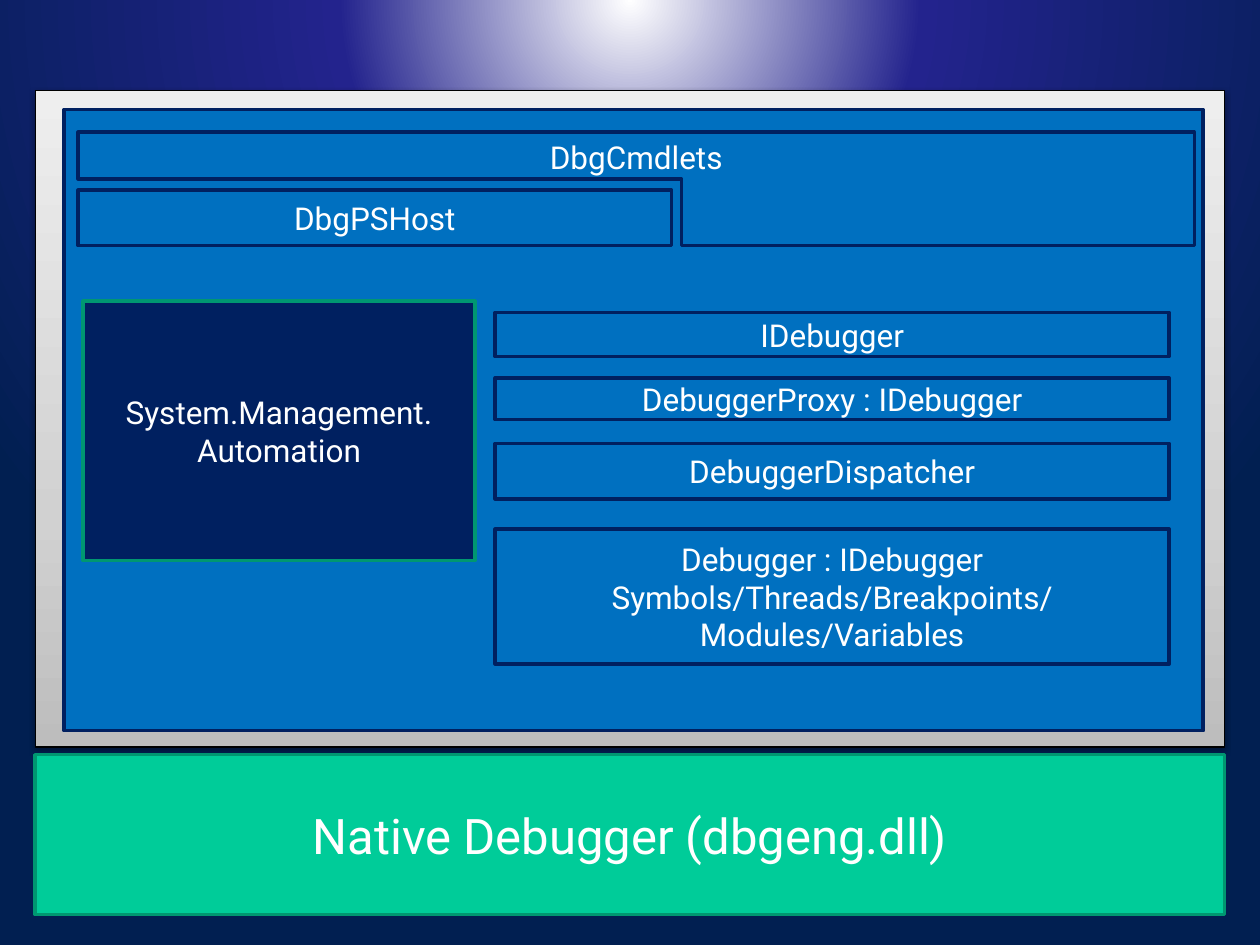
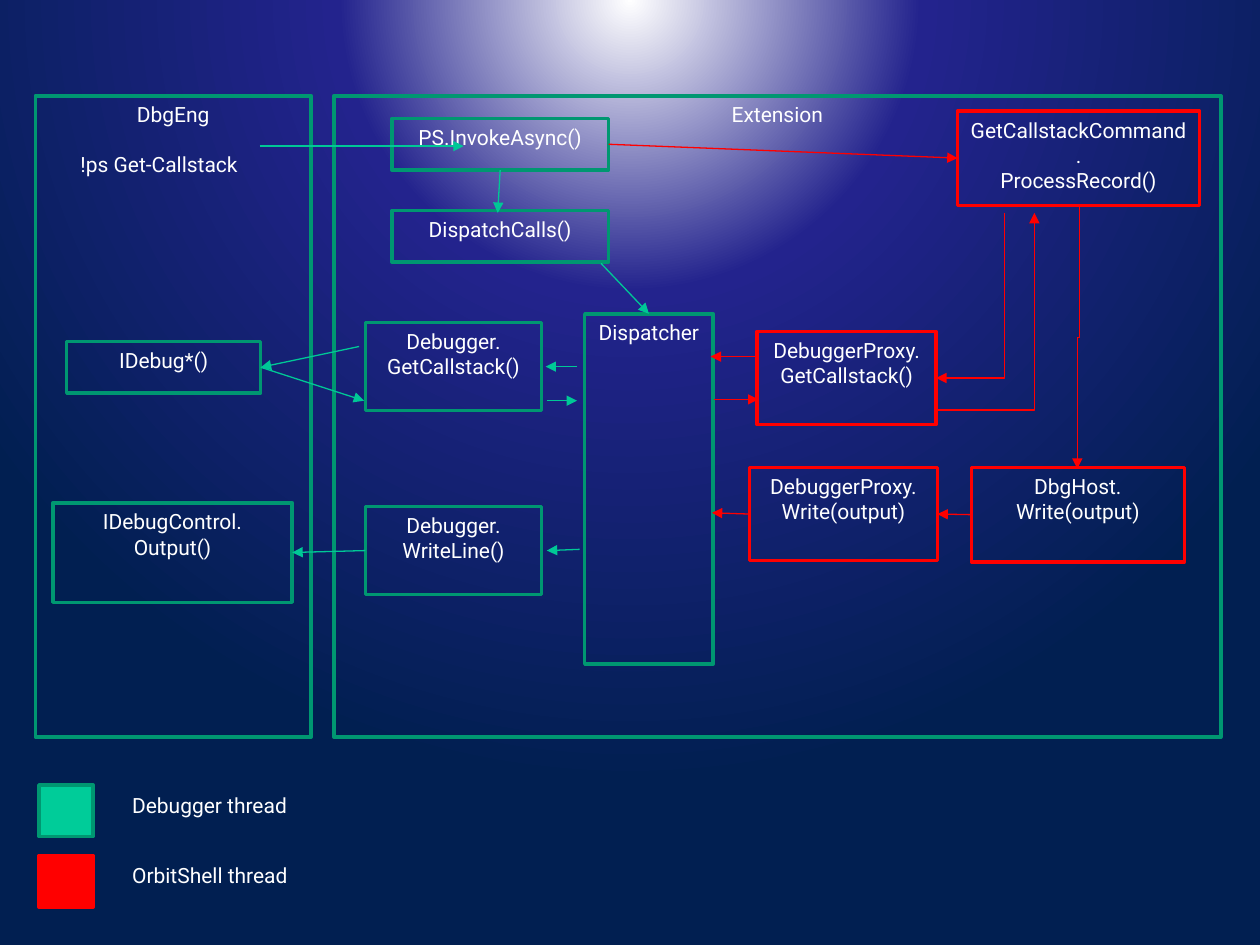
from dataclasses import dataclass
from typing import Any

from pptx import Presentation
from pptx.dml.color import RGBColor
from pptx.enum.shapes import MSO_CONNECTOR as Wire, MSO_SHAPE as Form
from pptx.enum.text import MSO_ANCHOR as Anchor, PP_ALIGN as Align
from pptx.oxml import parse_xml
from pptx.oxml.ns import nsdecls, qn
from pptx.util import Pt

PX = 9144
FONT = "Roboto"
WHITE, BLACK, RED = "FFFFFF", "000000", "FF0000"
BLUE, NAVY = "0070C0", "002060"
MINT, EDGE, ARROW = "00CC99", "009771", "00C896"
TOP, LEFT, BASE, RIGHT = range(4)


def tint(code):
    """Turn a hex string into a colour."""
    return RGBColor.from_string(code)


def node(tag, body="", **attrs):
    """Build one drawing element from its tag, content and attributes."""
    pairs = " ".join(f'{key}="{val}"' for key, val in attrs.items())
    return parse_xml(f'<a:{tag} {nsdecls("a")} {pairs}>{body}</a:{tag}>')


def blend(root, stops, shade):
    """Replace the first gradient below root by the given stops."""
    marks = "".join(f'<a:gs pos="{pos}000"><a:srgbClr val="{code}"/></a:gs>'
                    for pos, code in stops)
    old = root.find(".//" + qn("a:gradFill"))
    old.getparent().replace(old, node("gradFill", f"<a:gsLst>{marks}</a:gsLst>{shade}"))


def write(shape, text, size, align=Align.CENTER, anchor=Anchor.TOP, wrap=True):
    """Set the text of a shape and format its runs."""
    frame = shape.text_frame
    frame.text = text
    frame.word_wrap = wrap
    frame.vertical_anchor = anchor
    for para in frame.paragraphs:
        para.alignment = align
        for run in para.runs:
            run.font.name, run.font.size = FONT, Pt(size)
            run.font.color.rgb = tint(WHITE)


def paint(shape, fill, edge, width=2):
    """Give a shape its fill and outline, and no shadow."""
    shape.shadow.inherit = False
    if fill:
        shape.fill.solid()
        shape.fill.fore_color.rgb = tint(fill)
    else:
        shape.fill.background()
    shape.line.color.rgb = tint(edge)
    shape.line.width = Pt(width)
    return shape


def point(line, hue):
    """Style a connector as a thin arrow."""
    line.line.color.rgb = tint(hue)
    line.line.width = Pt(0.75)
    props = line._element.spPr
    props.find(qn("a:ln")).append(node("tailEnd", type="triangle"))
    props.append(node("effectLst"))


@dataclass
class Area:
    """A box on a slide in which parts are placed in px."""
    slide: Any
    x: int
    y: int
    w: int
    h: int

    def spot(self, x, y):
        """Turn a point of the box into EMU on the slide."""
        return (self.x + x) * PX, (self.y + y) * PX

    def rect(self, x, y, w, h, edge=EDGE, fill=None, width=2):
        """Add a rectangle."""
        form = self.slide.shapes.add_shape(
            Form.RECTANGLE, *self.spot(x, y), w * PX, h * PX)
        return paint(form, fill, edge, width)

    def call(self, text, x, y, w, h, edge=EDGE):
        """Add an open rectangle that names a call."""
        form = self.rect(x, y, w, h, edge)
        write(form, text, 12)
        return form

    def note(self, text, x, y, w, h, wrap):
        """Add a line of plain text."""
        form = self.slide.shapes.add_textbox(*self.spot(x, y), w * PX, h * PX)
        write(form, text, 12, Align.LEFT, wrap=wrap)

    def link(self, start, stop, hue):
        """Add an arrow between points or (shape, side) pairs."""
        line = self.slide.shapes.add_connector(Wire.STRAIGHT, 0, 0, 0, 0)
        if isinstance(start[0], int):
            line.begin_x, line.begin_y = self.spot(*start)
        else:
            line.begin_connect(*start)
        if isinstance(stop[0], int):
            line.end_x, line.end_y = self.spot(*stop)
        else:
            line.end_connect(*stop)
        point(line, hue)

    def bend(self, start, stop, hue, kind="bentConnector3", turn=None):
        """Add an elbow arrow that sets off up or down."""
        (ax, ay), (bx, by) = self.spot(*start), self.spot(*stop)
        long, wide = abs(by - ay), abs(bx - ax)
        left, top = (ax + bx - long) // 2, (ay + by - wide) // 2
        line = self.slide.shapes.add_connector(
            Wire.ELBOW, left, top, left + long, top + wide)
        props = line._element.spPr
        frame = props.find(qn("a:xfrm"))
        frame.set("rot", "5400000")
        if by < ay:
            frame.set("flipH", "1")
            frame.set("flipV", "1")
        shape = props.find(qn("a:prstGeom"))
        shape.set("prst", kind)
        if turn:
            shape.find(qn("a:avLst")).append(
                node("gd", name="adj1", fmla=f"val {turn}"))
        point(line, hue)


def frame(area):
    """Draw the grey frame with its soft shadow."""
    form = area.rect(0, 0, area.w, area.h, BLACK, WHITE, 0.75)
    form.fill.gradient()
    props = form._element.spPr
    blend(props, [(0, "BDBDBD"), (35, "D1D1D1"), (100, "EEEEEE")],
          '<a:lin ang="16200000" scaled="0"/>')
    props.find(qn("a:effectLst")).append(node(
        "outerShdw", f'<a:srgbClr val="{BLACK}"><a:alpha val="38000"/></a:srgbClr>',
        blurRad=Pt(3.1), dist=Pt(1.6), dir=5400000, rotWithShape=0))


def native(area):
    """Draw the native debugger band."""
    form = area.rect(0, 0, area.w, area.h, EDGE, MINT)
    write(form, "Native Debugger (dbgeng.dll)", 28, anchor=Anchor.MIDDLE)


def panel(area):
    """Draw the managed layers."""
    area.rect(0, 0, area.w, area.h, NAVY, BLUE)
    col, wide = 342, 535
    for text, box, edge, fill in [
        ("DbgPSHost", (11, 64, 471, 44), NAVY, BLUE),
        ("System.Management.\nAutomation", (15, 152, 311, 206), EDGE, NAVY),
        ("IDebugger", (col, 161, wide, 35), NAVY, BLUE),
        ("DebuggerProxy : IDebugger", (col, 213, wide, 33), NAVY, BLUE),
        ("DebuggerDispatcher", (col, 265, wide, 44), NAVY, BLUE),
        ("Debugger : IDebugger\nSymbols/Threads/Breakpoints/\nModules/Variables",
         (col, 333, wide, 107), NAVY, BLUE),
    ]:
        write(area.rect(*box, edge, fill), text, 18, anchor=Anchor.MIDDLE)
    pen = area.slide.shapes.build_freeform(11, 18, scale=PX)
    pen.add_line_segments([(897, 18), (897, 108), (490, 108), (490, 55), (11, 55)])
    form = paint(pen.convert_to_shape(*area.spot(0, 0)), BLUE, NAVY)
    write(form, "DbgCmdlets", 18)


def engine(area):
    """Draw the engine region and return its calls."""
    area.call("DbgEng", 0, 0, area.w, area.h)
    area.note("!ps Get-Callstack", 26, 39, 198, 30, True)
    debug = area.call("IDebug*()", 25, 195, 154, 41)
    output = area.call("IDebugControl.\nOutput()", 14, 323, 190, 79)
    return debug, output


def extend(area):
    """Draw the extension region and return its line writer."""
    area.call("Extension", 0, 0, area.w, area.h)
    invoke = area.call("PS.InvokeAsync()", 46, 18, 172, 41)
    area.call("DispatchCalls()", 46, 91, 172, 41)
    area.call("Debugger.\nGetCallstack()", 25, 180, 140, 70)
    writer = area.call("Debugger.\nWriteLine()", 25, 326, 140, 70)
    hub = area.call("Dispatcher", 199, 173, 102, 278)
    for start, stop in [
        ((invoke, BASE), (130, 93)),
        ((212, 133), (hub, TOP)),
        ((193, 215), (168, 215)),
        ((169, 242), (193, 242)),
        ((195, 360), (169, 361)),
    ]:
        area.link(start, stop, ARROW)
    shell(area, invoke)
    return writer


def shell(area, invoke):
    """Draw the calls of the shell thread, which invoke sets off."""
    command = area.call("GetCallstackCommand.\nProcessRecord()", 495, 12, 192, 75, RED)
    area.call("DebuggerProxy.\nGetCallstack()", 336, 187, 142, 74, RED)
    proxy = area.call("DebuggerProxy.\nWrite(output)", 330, 295, 149, 74, RED)
    host = area.call("DbgHost.\nWrite(output)", 506, 295, 169, 75, RED)
    for start, stop in [
        ((invoke, RIGHT), (command, LEFT)),
        ((336, 207), (299, 207)),
        ((302, 241), (337, 241)),
        ((host, LEFT), (proxy, RIGHT)),
        ((proxy, LEFT), (300, 331)),
    ]:
        area.link(start, stop, RED)
    area.bend((532, 93), (478, 224), RED, "bentConnector2")
    area.bend((592, 88), (590, 296), RED)
    area.bend((479, 252), (556, 93), RED, turn=1600)


def cross(area, debug, output, writer):
    """Draw the arrows between the engine and the extension."""
    for start, stop in [
        ((206, 116), (368, 116)),
        ((285, 275), (debug, RIGHT)),
        ((debug, RIGHT), (289, 318)),
        ((writer, LEFT), (output, RIGHT)),
    ]:
        area.link(start, stop, ARROW)


def legend(area):
    """Draw the key to the two threads."""
    for row, (text, fill, edge) in enumerate([
        ("Debugger thread", MINT, EDGE),
        ("OrbitShell thread", RED, RED),
    ]):
        top = row * 56
        area.rect(0, top, 43, 41, edge, fill)
        area.note(text, 64, top + 1, 155, 30, False)


def layers(slide):
    """Build the slide of layers."""
    frame(Area(slide, 28, 72, 944, 521))
    native(Area(slide, 28, 599, 944, 127))
    panel(Area(slide, 51, 87, 904, 493))


def flow(slide):
    """Build the slide of calls between threads."""
    debug, output = engine(Area(slide, 28, 76, 219, 509))
    writer = extend(Area(slide, 265, 76, 704, 509))
    cross(Area(slide, 0, 0, 1000, 750), debug, output, writer)
    legend(Area(slide, 31, 623, 219, 97))


def main():
    """Build and save the deck."""
    deck = Presentation()
    deck.slide_width, deck.slide_height = 1000 * PX, 750 * PX
    master = deck.slide_master
    master.background.fill.gradient()
    blend(master.element, [(0, WHITE), (37, "23238D"), (100, "011F51")],
          '<a:path path="circle">'
          '<a:fillToRect l="50000" t="-80000" r="50000" b="180000"/></a:path>')
    for build in (layers, flow):
        build(deck.slides.add_slide(deck.slide_layouts[6]))
    deck.save("out.pptx")


if __name__ == "__main__":
    main()
